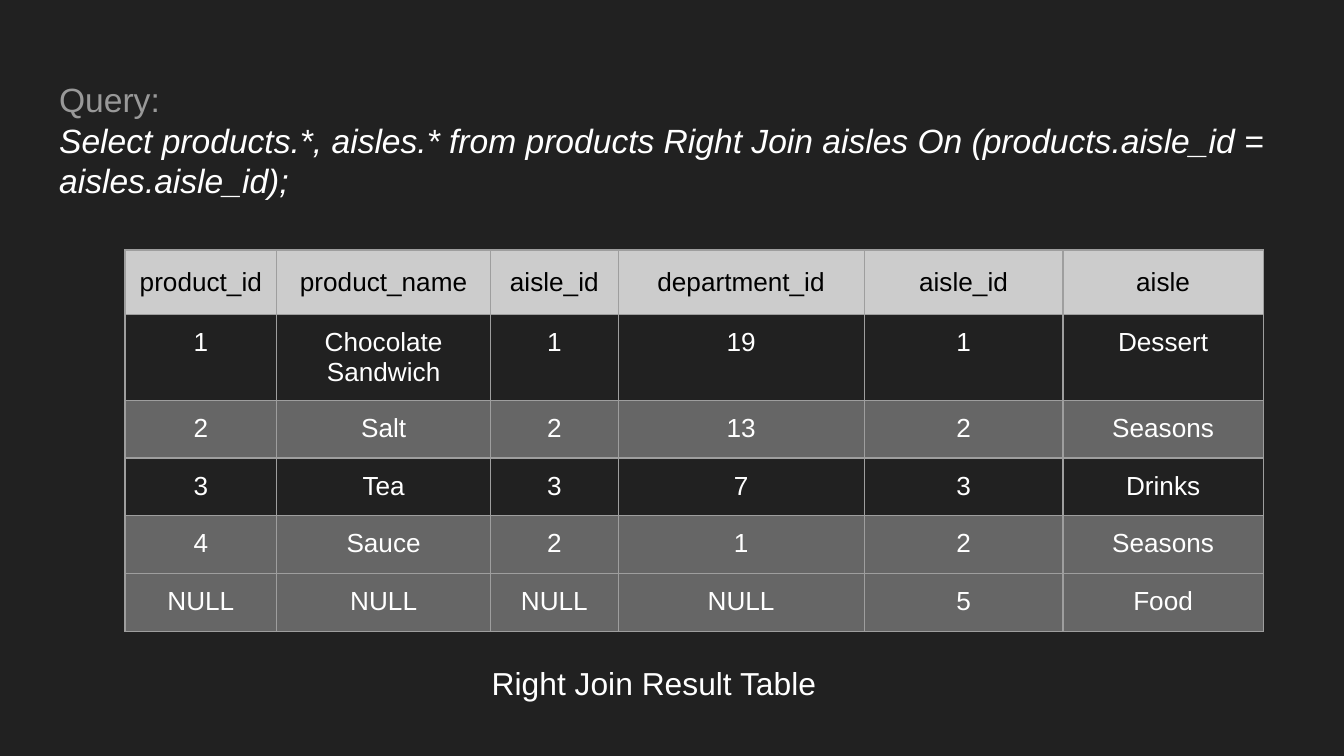
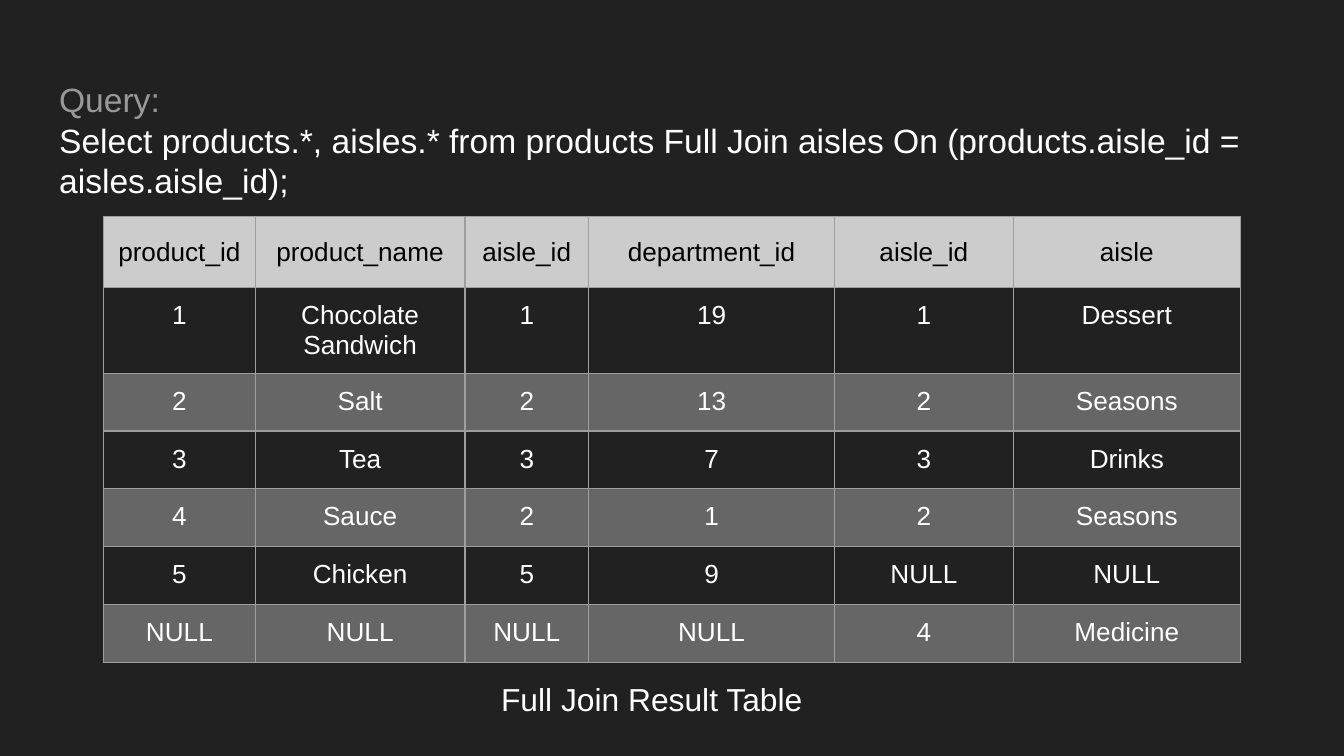
from dataclasses import dataclass

from lxml.etree import SubElement
from pptx import Presentation
from pptx.dml.color import RGBColor
from pptx.enum.text import MSO_ANCHOR as Anchor, MSO_AUTO_SIZE as AutoSize, PP_ALIGN as Align
from pptx.oxml.ns import qn
from pptx.util import Inches, Pt


@dataclass(frozen=True)
class Theme:
    """Colours, type sizes and shared measures."""
    font: str = "Arial"
    background: str = "212121"
    header: str = "CCCCCC"
    stripe: str = "666666"
    border: str = "9E9E9E"
    label: str = "999999"
    light: str = "FFFFFF"
    dark: str = "000000"
    query_size: int = 18
    caption_size: int = 17
    cell_size: int = 14
    border_width: float = 0.75
    inset: float = 0.1


@dataclass(frozen=True)
class JoinSlide:
    """Wording and layout of one join example."""
    join: str
    italic: bool
    query_box: tuple
    table_origin: tuple
    caption_box: tuple
    columns: tuple
    header_height: float
    rows: tuple
    striped_rows: tuple


THEME = Theme()
ROW_HEIGHT = 0.43
HEADINGS = ("product_id", "product_name", "aisle_id", "department_id", "aisle_id", "aisle")
MATCHED_ROWS = (
    ("1", "Chocolate Sandwich", "1", "19", "1", "Dessert"),
    ("2", "Salt", "2", "13", "2", "Seasons"),
    ("3", "Tea", "3", "7", "3", "Drinks"),
    ("4", "Sauce", "2", "1", "2", "Seasons"),
)
JOINS = (
    JoinSlide(
        join="Right Join", italic=True,
        query_box=(0.34, 0.49, 9.32, 0.91),
        table_origin=(0.93, 1.86),
        caption_box=(3.56, 4.84, 3.22, 0.63),
        columns=(1.13, 1.59, 0.95, 1.83, 1.48, 1.49),
        header_height=0.48,
        rows=MATCHED_ROWS + (("NULL", "NULL", "NULL", "NULL", "5", "Food"),),
        striped_rows=(2, 4, 5),
    ),
    JoinSlide(
        join="Full Join", italic=False,
        query_box=(0.34, 0.49, 9.32, 0.63),
        table_origin=(0.77, 1.61),
        caption_box=(3.63, 4.96, 3.22, 0.63),
        columns=(1.13, 1.56, 0.92, 1.83, 1.33, 1.69),
        header_height=0.53,
        rows=MATCHED_ROWS + (
            ("5", "Chicken", "5", "9", "NULL", "NULL"),
            ("NULL", "NULL", "NULL", "NULL", "4", "Medicine"),
        ),
        striped_rows=(2, 4, 6),
    ),
)


def write(paragraph, text, *, size, color, italic=False, align=Align.LEFT):
    """Write formatted text into a paragraph."""
    paragraph.alignment = align
    paragraph.line_spacing = 1.0
    run = paragraph.add_run()
    run.text = text
    run.font.name = THEME.font
    run.font.size = Pt(size)
    run.font.italic = italic
    run.font.color.rgb = RGBColor.from_string(color)


def set_margins(target):
    """Give a text frame or cell the shared inset on all sides."""
    for side in ("left", "top", "right", "bottom"):
        setattr(target, f"margin_{side}", Inches(THEME.inset))


def prepare_frame(shape):
    """Return a wrapped, top-anchored text frame."""
    frame = shape.text_frame
    frame.word_wrap = True
    frame.auto_size = AutoSize.NONE
    frame.vertical_anchor = Anchor.TOP
    set_margins(frame)
    return frame


def add_query(slide, box, join, italic):
    """Fill the title placeholder with the query."""
    title = slide.shapes.title
    title.left, title.top, title.width, title.height = map(Inches, box)
    frame = prepare_frame(title)
    write(frame.paragraphs[0], "Query:", size=THEME.query_size, color=THEME.label)
    query = (f"Select products.*, aisles.* from products {join} aisles "
             "On (products.aisle_id = aisles.aisle_id);")
    write(frame.add_paragraph(), query, size=THEME.query_size,
          color=THEME.light, italic=italic)


def add_caption(slide, box, text):
    """Place the caption under the result table."""
    frame = prepare_frame(slide.shapes.add_textbox(*map(Inches, box)))
    write(frame.paragraphs[0], text, size=THEME.caption_size, color=THEME.light)


def format_cell(cell, text, fill, color, anchor):
    """Fill one cell and draw its four borders."""
    set_margins(cell)
    cell.vertical_anchor = anchor
    write(cell.text_frame.paragraphs[0], text, size=THEME.cell_size,
          color=color, align=Align.CENTER)
    properties = cell._tc.get_or_add_tcPr()
    for edge in ("a:lnL", "a:lnR", "a:lnT", "a:lnB"):
        line = SubElement(properties, qn(edge), w=str(Pt(THEME.border_width)))
        solid = SubElement(line, qn("a:solidFill"))
        SubElement(solid, qn("a:srgbClr"), val=THEME.border)
    cell.fill.solid()
    cell.fill.fore_color.rgb = RGBColor.from_string(fill)


def add_result_table(slide, origin, content):
    """Build the join result table from its top-left corner."""
    rows = (HEADINGS,) + content.rows
    heights = [content.header_height] + [ROW_HEIGHT] * len(content.rows)
    size = (sum(content.columns), sum(heights))
    table = slide.shapes.add_table(
        len(rows), len(HEADINGS), *map(Inches, origin + size)).table
    table.first_row = table.horz_banding = False
    for column, width in zip(table.columns, content.columns):
        column.width = Inches(width)
    for index, (values, height) in enumerate(zip(rows, heights)):
        table.rows[index].height = Inches(height)
        if index == 0:
            style = (THEME.header, THEME.dark, Anchor.MIDDLE)
        else:
            fill = THEME.stripe if index in content.striped_rows else THEME.background
            style = (fill, THEME.light, Anchor.TOP)
        for cell, value in zip(table.rows[index].cells, values):
            format_cell(cell, value, *style)


def add_join_slide(presentation, content):
    """Add one slide with a query, its result and a caption."""
    slide = presentation.slides.add_slide(presentation.slide_layouts.get_by_name("Title Only"))
    add_query(slide, content.query_box, content.join, content.italic)
    add_result_table(slide, content.table_origin, content)
    add_caption(slide, content.caption_box, f"{content.join} Result Table")


def main():
    """Build and save the presentation."""
    presentation = Presentation()
    presentation.slide_width = Inches(10)
    presentation.slide_height = Inches(10 * 9 / 16)
    background = presentation.slide_master.background.fill
    background.solid()
    background.fore_color.rgb = RGBColor.from_string(THEME.background)
    for content in JOINS:
        add_join_slide(presentation, content)
    presentation.save("out.pptx")


if __name__ == "__main__":
    main()
